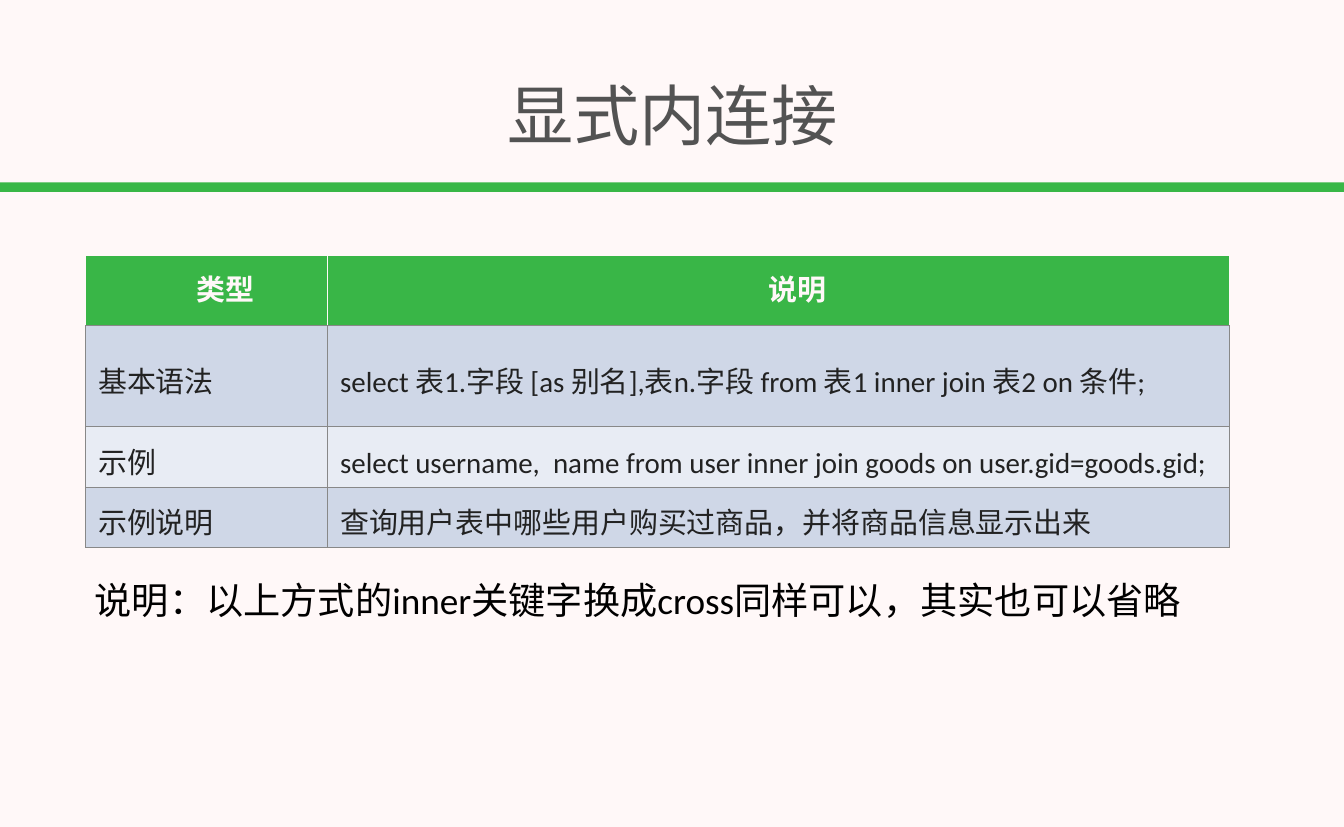
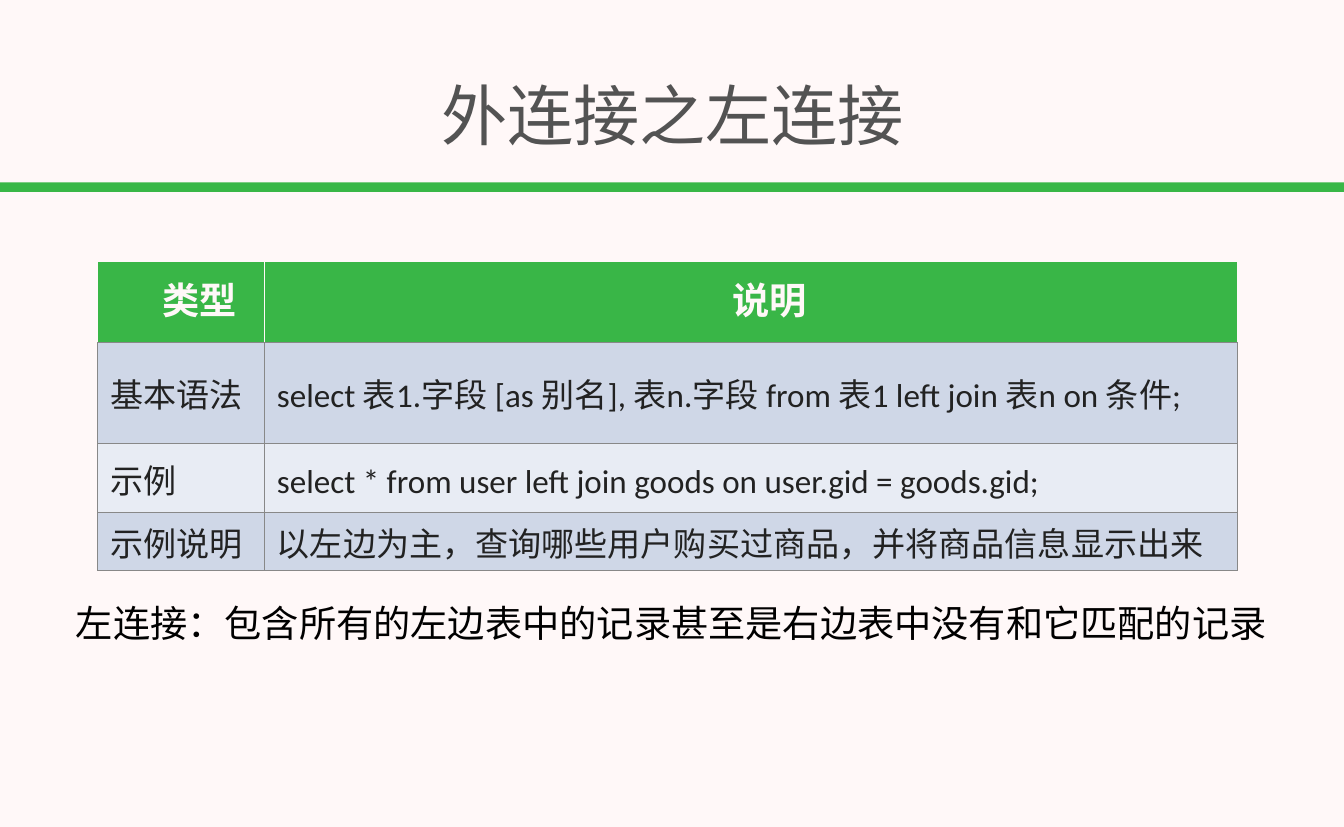
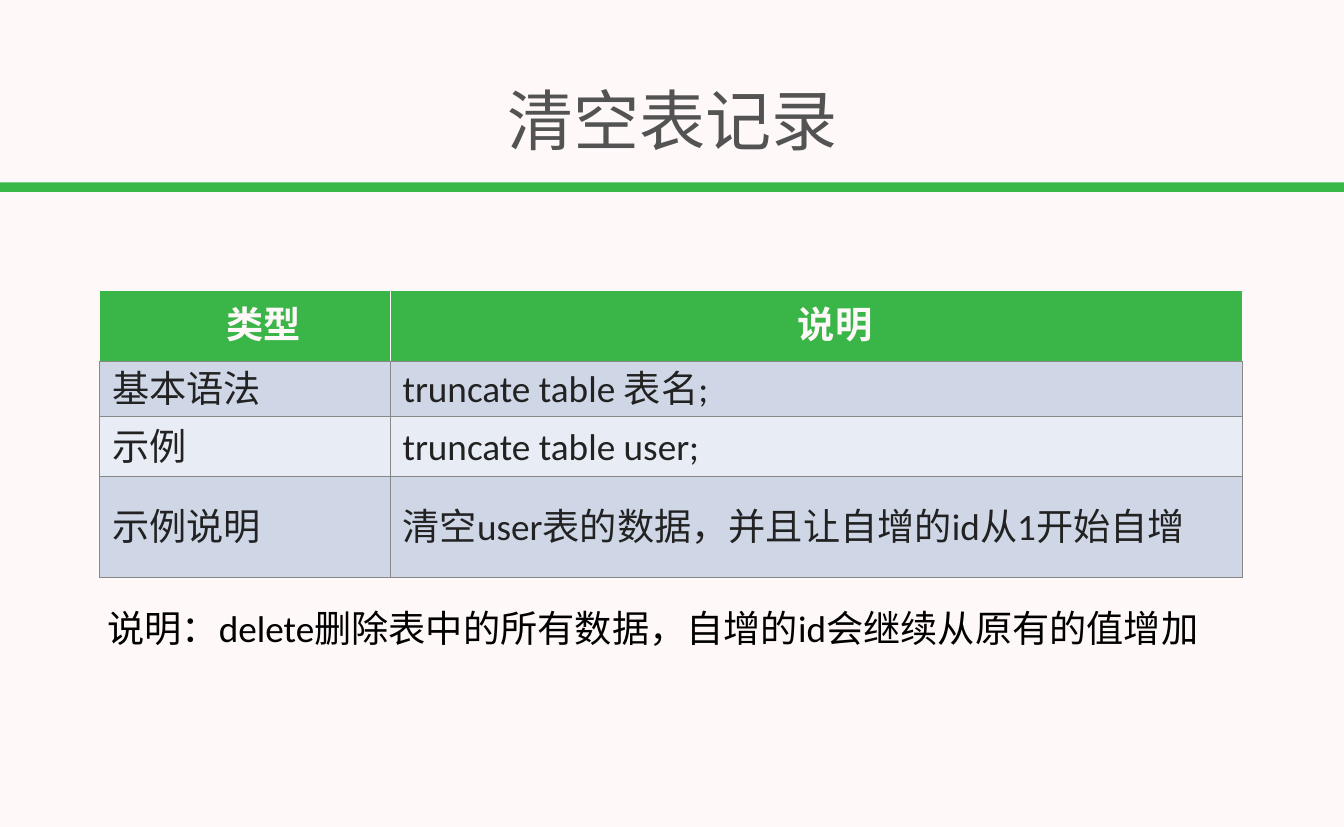
from lxml import etree
from pptx import Presentation
from pptx.dml.color import RGBColor
from pptx.enum.shapes import MSO_SHAPE
from pptx.enum.text import MSO_ANCHOR, MSO_AUTO_SIZE, PP_ALIGN
from pptx.oxml.ns import qn
from pptx.util import Cm, Pt

RECT = MSO_SHAPE.RECTANGLE
TOP, MIDDLE = MSO_ANCHOR.TOP, MSO_ANCHOR.MIDDLE
LEFT, CENTER = PP_ALIGN.LEFT, PP_ALIGN.CENTER
NO_FIT = MSO_AUTO_SIZE.NONE
TITLE_ONLY = 5
W, H = 45.87, 28.22
FONT = "Calibri"
COLORS = {
    "paper": "FFF8F8", "band": "39B747", "title": "535353",
    "header": "39B647", "odd": "CFD7E7", "even": "E8ECF4",
    "border": "888888", "cell": "222222", "note": "000000",
}

SLIDES = [
    {
        "title": "显式内连接", "title_top": 2.08,
        "at": (2.92, 8.71), "cols": (8.26, 30.78),
        "rows": (2.41, 1.88, 2.06, 2.06), "sizes": (28, 28),
        "cells": (
            "select 表1.字段 [as 别名],表n.字段 from 表1 inner join 表2 on 条件;",
            "select username,  name from user inner join goods on user.gid=goods.gid;",
            "查询用户表中哪些用户购买过商品，并将商品信息显示出来",
        ),
        "note": "说明：以上方式的inner关键字换成cross同样可以，其实也可以省略",
        "note_at": (3.1, 19.56, 37.72),
    },
    {
        "title": "外连接之左连接", "title_top": 2.08,
        "at": (3.33, 8.92), "cols": (5.69, 33.22),
        "rows": (2.77, 2.16, 2.36, 1.96), "sizes": (36, 32),
        "cells": (
            "select 表1.字段 [as 别名], 表n.字段 from 表1 left join 表n on 条件;",
            "select * from user left join goods on user.gid = goods.gid;",
            "以左边为主，查询哪些用户购买过商品，并将商品信息显示出来",
        ),
        "note": "左连接：包含所有的左边表中的记录甚至是右边表中没有和它匹配的记录",
        "note_at": (2.46, 20.35, 41.3),
    },
    {
        "title": "清空表记录", "title_top": 2.24,
        "at": (3.4, 9.91), "cols": (9.91, 29.11),
        "rows": (2.41, 1.88, 2.06, 2.06), "sizes": (36, 36),
        "cells": (
            "truncate table 表名;",
            "truncate table user;",
            "清空user表的数据，并且让自增的id从1开始自增",
        ),
        "note": "说明：delete删除表中的所有数据，自增的id会继续从原有的值增加",
        "note_at": (3.53, 20.52, 37.9),
    },
]


class Deck:
    """Hold the shared style and the current slide."""

    def __init__(self):
        self.prs = Presentation()
        self.prs.slide_width, self.prs.slide_height = Cm(W), Cm(H)
        self.slide = None
        self.fill(self.prs.slide_master.background, "paper")

    def fill(self, obj, color):
        obj.fill.solid()
        obj.fill.fore_color.rgb = RGBColor.from_string(COLORS[color])

    def add_slide(self):
        first = self.slide is None
        self.slide = self.prs.slides.add_slide(self.prs.slide_layouts[TITLE_ONLY])
        if first:
            self.master_band()

    def master_band(self):
        sp = self.slide.shapes.add_shape(RECT, 0, Cm(6.22), Cm(W), Cm(0.33))
        sp.shadow.inherit = False
        self.fill(sp, "band")
        sp.line.fill.background()
        sp.element.nvSpPr.cNvPr.set("id", "99")
        self.prs.slide_master.shapes.element.insert(2, sp.element)

    def set_text(self, tf, text, size, color, align=LEFT, bold=False):
        tf.text = text
        p = tf.paragraphs[0]
        p.alignment = align
        for r in p.runs:
            r.font.size = Pt(size)
            r.font.bold = bold
            r.font.name = FONT
            r.font.color.rgb = RGBColor.from_string(COLORS[color])
            etree.SubElement(r._r.rPr, qn("a:ea"), typeface=FONT)
        return p

    def frame(self, sp, left, top, width, height, anchor):
        sp.left, sp.top, sp.width, sp.height = map(Cm, (left, top, width, height))
        tf = sp.text_frame
        tf.word_wrap = True
        tf.auto_size = NO_FIT
        tf.vertical_anchor = anchor
        tf.margin_left = tf.margin_right = Cm(0.13)
        tf.margin_top = tf.margin_bottom = Cm(0.13)
        return tf

    def title(self, text, top):
        tf = self.frame(self.slide.shapes.title, 0.13, top, 45.64, 3.61, MIDDLE)
        self.set_text(tf, text, 64, "title", CENTER)

    def note(self, text, left, top, width):
        sp = self.slide.shapes.add_textbox(0, 0, Cm(1), Cm(1))
        tf = self.frame(sp, left, top, width, 1.8, TOP)
        self.set_text(tf, text, 36, "note")

    def borders(self, cell, side, bottom):
        tcPr = cell._tc.get_or_add_tcPr()
        for i, edge in enumerate("LRTB"):
            ln = etree.Element(qn(f"a:ln{edge}"), w=str(Pt(1)))
            solid = etree.SubElement(ln, qn("a:solidFill"))
            color = COLORS[bottom if edge == "B" else side]
            etree.SubElement(solid, qn("a:srgbClr"), val=color)
            tcPr.insert(i, ln)

    def header_cell(self, cell, text, size):
        cell.margin_left = cell.margin_right = 0
        cell.margin_top = cell.margin_bottom = 0
        p = self.set_text(cell.text_frame, text, size, "paper", CENTER, True)
        pPr = p._p.get_or_add_pPr()
        pPr.set("marL", "0")
        pPr.set("indent", str(Cm(1.27)))
        self.fill(cell, "header")
        self.borders(cell, "paper", "border")

    def body_cell(self, cell, text, size, color):
        cell.margin_left = cell.margin_right = Cm(0.43)
        cell.margin_top = cell.margin_bottom = Cm(0.1)
        p = self.set_text(cell.text_frame, text, size, "cell")
        p.line_spacing = Pt(46)
        self.fill(cell, color)
        self.borders(cell, "border", "border")

    def table(self, at, cols, rows, sizes, cells):
        left, top = at
        data = [("类型", "说明"), *zip(("基本语法", "示例", "示例说明"), cells)]
        table = self.slide.shapes.add_table(
            len(rows), len(cols), Cm(left), Cm(top), Cm(sum(cols)), Cm(sum(rows))
        ).table
        table.horz_banding = False
        for col, width in zip(table.columns, cols):
            col.width = Cm(width)
        for i, (row, height) in enumerate(zip(table.rows, rows)):
            row.height = Cm(height)
            for cell, text in zip(row.cells, data[i]):
                cell.vertical_anchor = MIDDLE
                if i == 0:
                    self.header_cell(cell, text, sizes[0])
                else:
                    self.body_cell(cell, text, sizes[1], "odd" if i % 2 else "even")


def main():
    deck = Deck()
    for s in SLIDES:
        deck.add_slide()
        deck.title(s["title"], s["title_top"])
        deck.table(s["at"], s["cols"], s["rows"], s["sizes"], s["cells"])
        deck.note(s["note"], *s["note_at"])
    deck.prs.save("out.pptx")


if __name__ == "__main__":
    main()
